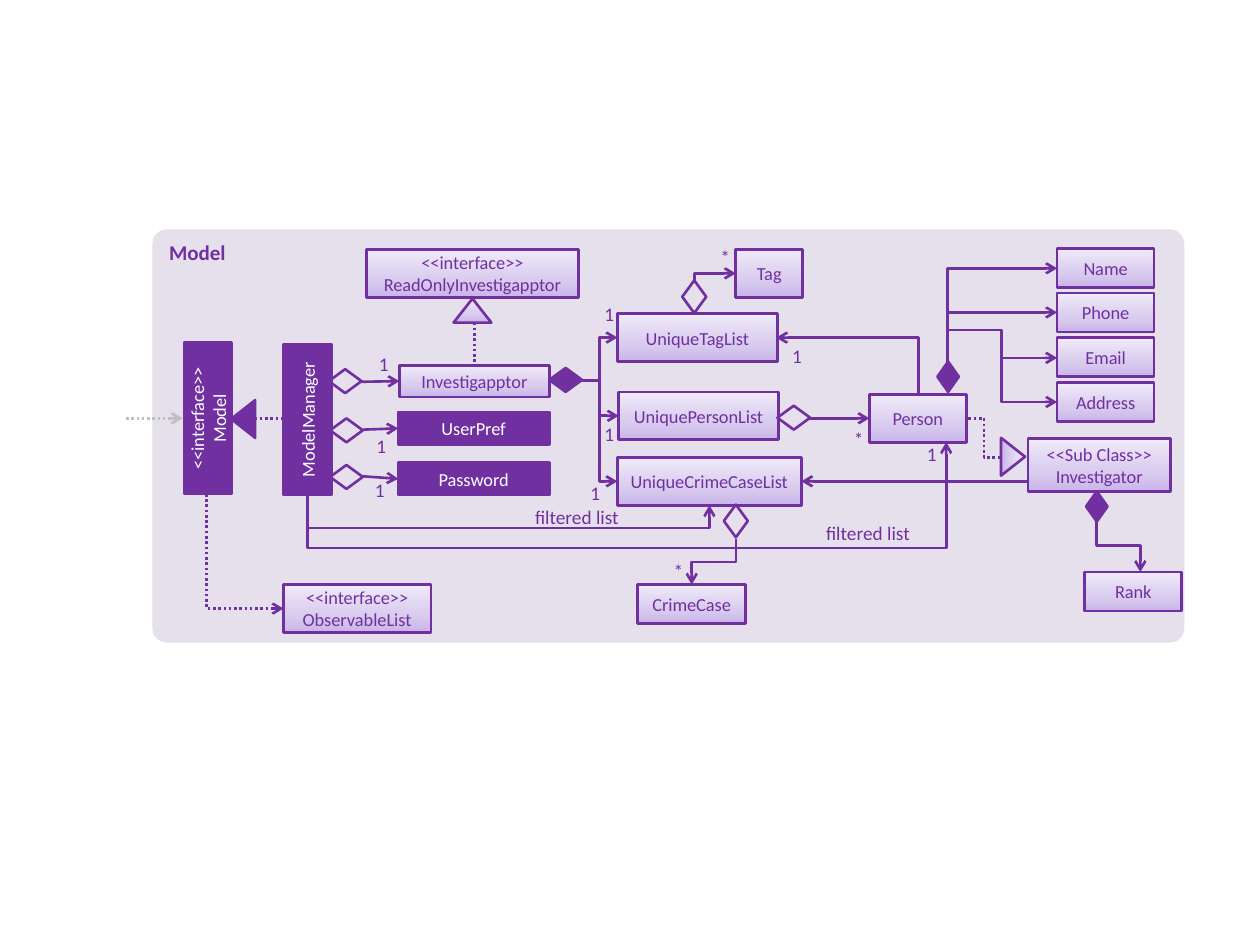
from copy import deepcopy
from pptx import Presentation
from pptx.dml.color import RGBColor as Rgb
from pptx.enum.dml import MSO_LINE as Dash
from pptx.enum.shapes import MSO_CONNECTOR as Conn, MSO_SHAPE as Form
from pptx.enum.text import MSO_ANCHOR as Anchor, MSO_AUTO_SIZE as Auto, PP_ALIGN as Align
from pptx.oxml.ns import qn
from pptx.oxml.xmlchemy import OxmlElement as Node
from pptx.util import Inches, Pt

PURPLE, WHITE, GREY, PALE = "7030A0", "FFFFFF", "BFBFBF", "E6E0EC"
FADE = ((0, "C9B5E8"), (0.35, "D8CBEE"), (1, "F0EAF9"))


def color(text):
    return Rgb.from_string(text)


def put(item, values):
    for key, value in values.items():
        setattr(item, key, value)


class Chart:
    """Draws class diagram parts on a grid of 100 columns by 75 rows."""

    def __init__(self, deck):
        self.slide = deck.slides.add_slide(deck.slide_layouts[6])
        self.shapes = self.slide.shapes
        self.col = deck.slide_width / 100
        self.row = deck.slide_height / 75

    def grid(self, x, y):
        return round(x * self.col), round(y * self.row)

    def paint(self, shape, fill):
        if fill is None:
            shape.fill.background()
        elif fill == FADE:
            shape.fill.gradient()
            shape.fill.gradient_angle = 90
            stops = shape.element.spPr.find(".//" + qn("a:gsLst"))
            stops.append(deepcopy(stops[0]))
            for stop, (place, tone) in zip(shape.fill.gradient_stops, FADE):
                stop.position = place
                stop.color.rgb = color(tone)
        else:
            shape.fill.solid()
            shape.fill.fore_color.rgb = color(fill)

    def letter(self, shape, text, tone=PURPLE, size=10.5, bold=False, align=Align.CENTER, **frame):
        put(shape.text_frame, {"word_wrap": True, **frame})
        shape.text_frame.text = text
        for para in shape.text_frame.paragraphs:
            para.alignment = align
            for run in para.runs:
                put(run.font, {"name": "Calibri", "size": Pt(size), "bold": bold})
                run.font.color.rgb = color(tone)

    def form(self, kind, x, y, w, h, fill=None, turn=0, edge=PURPLE):
        shape = self.shapes.add_shape(kind, *self.grid(x, y), *self.grid(w, h))
        shape.rotation = turn
        shape.shadow.inherit = False
        self.paint(shape, fill)
        if edge:
            shape.line.color.rgb = color(edge)
            shape.line.width = Pt(1.5)
        else:
            shape.line.fill.background()
        return shape

    def box(self, text, x, y, w, h=3.8, fill=FADE, turn=0):
        shape = self.form(Form.RECTANGLE, x, y, w, h, fill, turn)
        side = Inches(0.05)
        self.letter(shape, text, PURPLE if fill == FADE else WHITE,
                    vertical_anchor=Anchor.MIDDLE, margin_left=side, margin_right=side)
        return shape

    def label(self, text, x, y):
        shape = self.shapes.add_textbox(*self.grid(x, y), *self.grid(2.1, 2))
        self.letter(shape, text, size=11, margin_left=0, margin_right=0, margin_top=0, margin_bottom=0)

    def note(self, text, x, y):
        shape = self.shapes.add_textbox(*self.grid(x, y), *self.grid(9.6, 2.9))
        self.letter(shape, text, size=11, align=Align.RIGHT, auto_size=Auto.SHAPE_TO_FIT_TEXT)

    def wire(self, kind, start, end, tail, dots, tone=PURPLE):
        link = self.shapes.add_connector(kind, *self.grid(*start), *self.grid(*end))
        link.line.color.rgb = color(tone)
        link.line.width = Pt(1.5)
        if dots:
            link.line.dash_style = Dash.ROUND_DOT
        props = link.element.spPr
        if tail:
            tip = Node("a:tailEnd")
            tip.set("type", "arrow")
            props.get_or_add_ln().append(tip)
        props.append(Node("a:effectLst"))
        return link

    def line(self, start, end, tail=True, dots=False, tone=PURPLE, to=None, side=1):
        link = self.wire(Conn.STRAIGHT, start, end, tail, dots, tone)
        if to is not None:
            link.end_connect(to, side)

    def elbow(self, start, end, *mids, down=False, tail=True, dots=False):
        """Mids are the turning places, on the starting axis first; down starts upright."""
        link = self.wire(Conn.ELBOW, start, end, tail, dots)
        props = link.element.spPr
        dx, dy = end[0] - start[0], end[1] - start[1]
        if down:
            left, top, w, h = link.left, link.top, link.width, link.height
            put(link, {"left": left + (w - h) // 2, "top": top + (h - w) // 2, "width": h, "height": w})
            frame = props.find(qn("a:xfrm"))
            turn = 270 if dx * dy > 0 else 90
            for key, value in (("rot", turn * 60000), ("flipH", int(dx > 0)), ("flipV", int(dy < 0))):
                frame.set(key, str(value))
        shape = props.find(qn("a:prstGeom"))
        shape.set("prst", f"bentConnector{2 + len(mids)}")
        for i, mid in enumerate(mids):
            axis = (i + down) % 2
            share = (mid - start[axis]) / (dx, dy)[axis]
            guide = Node("a:gd")
            guide.set("name", f"adj{i + 1}")
            guide.set("fmla", f"val {round(share * 100000)}")
            shape.find(qn("a:avLst")).append(guide)


def main():
    deck = Presentation()
    put(deck, {"slide_width": Inches(10), "slide_height": Inches(7.5)})
    art = Chart(deck)

    # Panel
    panel = art.form(Form.ROUNDED_RECTANGLE, 12.1, 18.2, 81.9, 32.8, PALE, edge=None)
    panel.adjustments[0] = 0.035
    art.letter(panel, "Model", size=12, bold=True, align=Align.LEFT, vertical_anchor=Anchor.TOP)

    # Solid boxes
    art.box("<<interface>>\nModel", 10.5, 31.3, 12, fill=PURPLE, turn=270)
    art.box("ModelManager", 18.4, 31.4, 12, fill=PURPLE, turn=270)
    pref = art.box("UserPref", 31.6, 32.7, 12, 2.6, PURPLE)
    word = art.box("Password", 31.6, 36.7, 12, 2.6, PURPLE)

    # Shaded boxes
    app = art.box("Investigapptor", 31.7, 29, 11.9, 2.5)
    art.box("<<interface>>\vReadOnlyInvestigapptor", 29.1, 19.8, 16.8)
    art.box("<<interface>>\vObservableList", 22.5, 46.4, 11.7)
    art.box("UniqueTagList", 49, 24.9, 12.7)
    art.box("UniquePersonList", 49.1, 31.1, 12.7)
    cases = art.box("UniqueCrimeCaseList", 49, 36.3, 14.6)
    art.box("Tag", 58.4, 19.8, 5.3)
    person = art.box("Person", 69, 31.3, 7.7)
    art.box("<<Sub Class>>\nInvestigator", 81.6, 34.8, 11.3, 4.2)
    art.box("CrimeCase", 50.6, 46.4, 8.6, 3.1)
    art.box("Rank", 86.1, 45.4, 7.7, 3.1)
    for i, text in enumerate(("Name", "Phone", "Email", "Address")):
        art.box(text, 83.9, 19.7 + 3.55 * i, 7.7, 3.1)

    # Straight links
    art.line((10, 33.2), (14.5, 33.2), dots=True, tone=GREY)
    art.line((20.2, 33.2), (22.6, 33.2), tail=False, dots=True)
    art.line((28.7, 30.3), (31.7, 30.2), to=app)
    art.line((28.8, 34.1), (31.6, 34), to=pref)
    art.line((28.8, 37.8), (31.6, 38), to=word)
    art.line((37.65, 25.6), (37.65, 29), tail=False, dots=True, to=app, side=0)
    art.line((64.3, 33.2), (69, 33.2), to=person)
    art.line((81.6, 38.2), (63.6, 38.2), to=cases, side=3)

    # Links of the manager and the interface
    art.elbow((24.4, 39.2), (75.1, 35.1), 43.5, 75.1, down=True)
    art.elbow((24.4, 39.2), (56.3, 40.1), 41.9, down=True)
    art.elbow((16.4, 39.2), (22.5, 48.3), down=True, dots=True)

    # Links to the lists
    art.elbow((46.2, 30.2), (49.1, 33), 47.6)
    art.elbow((46.2, 30.2), (49, 26.8), 47.6)
    art.elbow((47.6, 30.4), (49, 38.2), down=True)
    art.elbow((55.1, 22.3), (58.4, 21.7), down=True)
    art.elbow((58.4, 42.8), (54.9, 46.4), 44.6, down=True)

    # Links of the person and the investigator
    hub = (75.2, 28.7)
    art.elbow((72.9, 31.3), (61.6, 26.8), down=True)
    art.elbow(hub, (83.9, 21.3), down=True)
    art.elbow(hub, (83.9, 24.8), down=True)
    art.elbow((75.2, 26.2), (83.9, 28.4), 79.5)
    art.elbow(hub, (83.9, 31.9), 26.2, 79.5, down=True)
    art.elbow((79.4, 36.3), (76.8, 33.2), 78.1, tail=False, dots=True)
    art.elbow((87, 41.3), (90.5, 45.4), 43.3, down=True)

    # Diamonds: hollow for aggregation, solid for composition
    for x, y, turn in ((26.1, 29.3, 0), (26.2, 33.2, 0), (26.2, 36.9, 0),
                       (61.7, 32.2, 0), (53.8, 22.6, 270), (57.1, 40.4, 90)):
        art.form(Form.FLOWCHART_DECISION, x, y, 2.6, 1.9, turn=turn)
    for x, y, w, h in ((43.6, 29.2, 2.6, 1.9), (74.4, 28.7, 1.7, 2.4), (86.2, 39, 1.7, 2.4)):
        art.form(Form.FLOWCHART_DECISION, x, y, w, h, PURPLE)

    # Inheritance triangles
    for x, y, fill, turn in ((17.8, 32.3, PURPLE, 270), (36, 23.7, FADE, 0), (78.9, 35.3, FADE, 90)):
        art.form(Form.ISOSCELES_TRIANGLE, x, y, 3, 1.9, fill, turn)

    # Counts and notes
    counts = {"1": ((47.3, 24), (47.3, 33.5), (62.2, 27.3), (29.4, 28), (29.2, 34.5),
                    (72.9, 35.1), (46.2, 38.2), (29.1, 38)),
              "*": ((56.5, 19.5), (67.1, 33.9), (52.8, 44.4))}
    for text, spots in counts.items():
        for spot in spots:
            art.label(text, *spot)
    for spot in ((63.6, 40.9), (40.5, 39.6)):
        art.note("filtered list", *spot)

    deck.save("out.pptx")


if __name__ == "__main__":
    main()
